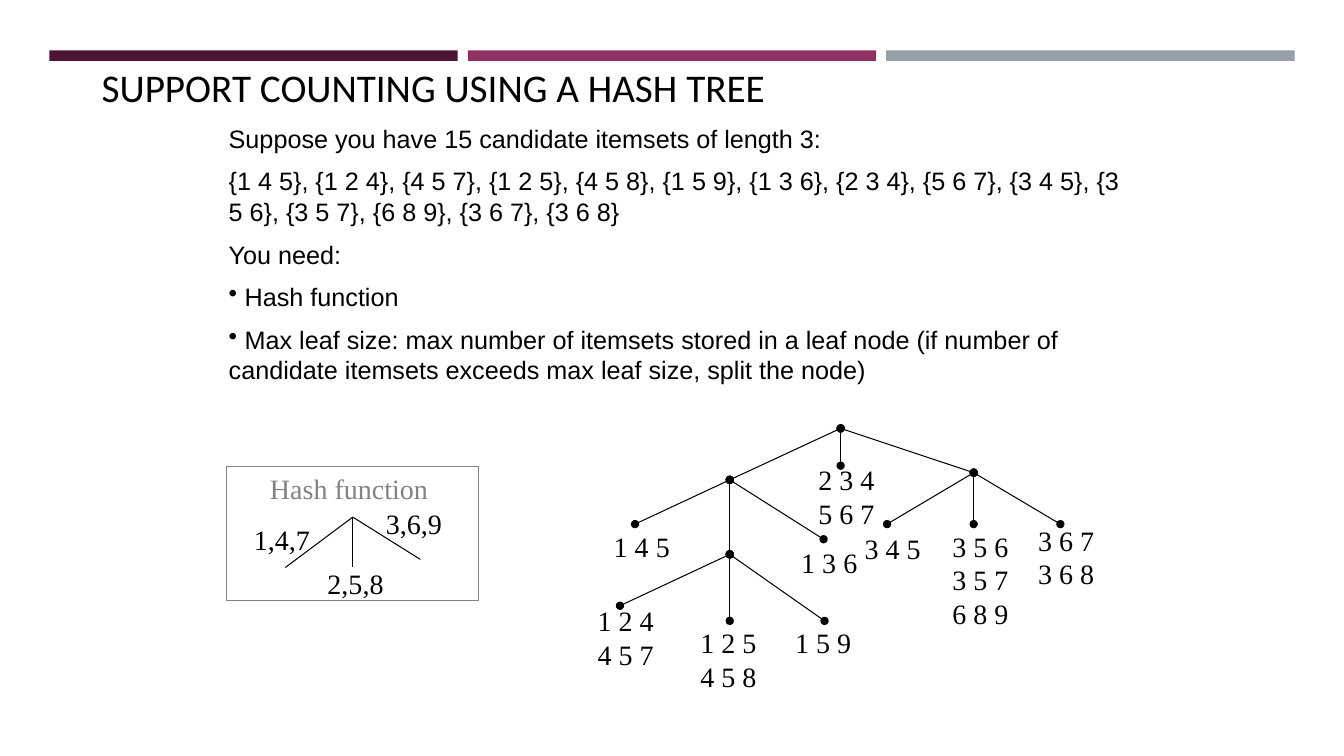
"""Slide: support counting using a hash tree. Lengths are percent of the slide."""
from dataclasses import dataclass

import pptx
import pptx.dml.color
import pptx.enum.shapes
import pptx.enum.text
import pptx.oxml.ns
import pptx.util
from lxml import etree

COLOURS = {
    "plum": "4D1434",
    "berry": "903163",
    "slate": "969FA7",
    "black": "000000",
    "grey": "828282",
}
WIDTH, HEIGHT = pptx.util.Emu(12192000), pptx.util.Inches(7.5)
LABEL_WIDTH, FIRST_LINE, NEXT_LINE = 5.7, 5.73, 4.47
ITEM_FONT, ITEM_SIZE = "Times New Roman", 20


@dataclass
class Node:
    name: str
    x: float
    y: float
    parent: str = ""
    itemsets: tuple[str, ...] = ()
    label_x: float = 0
    label_y: float = 0


@dataclass
class Branch:
    x: float
    y: float
    items: str
    label_x: float
    label_y: float


TREE = [
    Node("root", 62.55, 56.67),
    Node("left", 54.3, 63.47, "root"),
    Node("right", 72.45, 62.53, "root"),
    Node("middle", 62.55, 61.6, "root", ("2 3 4", "5 6 7"), 60.15, 60.53),
    Node("left 1", 47.25, 69.33, "left", ("1 4 5",), 44.93, 69.33),
    Node("left 2", 54.3, 73.33, "left"),
    Node("left 3", 61.28, 71.33, "left", ("1 3 6",), 58.88, 71.47),
    Node("left 2.1", 46.13, 80.13, "left 2", ("1 2 4", "4 5 7"), 43.73, 79.2),
    Node("left 2.2", 54.3, 82.13, "left 2", ("1 2 5", "4 5 8"), 51.38, 82.13),
    Node("left 2.3", 61.35, 82.13, "left 2", ("1 5 9",), 58.43, 82.13),
    Node("right 1", 66, 69.33, "right", ("3 4 5",), 63.6, 69.6),
    Node("right 2", 72.45, 69.33, "right", ("3 5 6", "3 5 7", "6 8 9"), 70.13, 69.33),
    Node("right 3", 78.9, 69.33, "right", ("3 6 7", "3 6 8"), 76.5, 68.53),
]
HASH_APEX = (26.25, 68.4)
HASH_BRANCHES = [
    Branch(21.23, 75.07, "1,4,7", 18.15, 68.4),
    Branch(26.25, 75.07, "2,5,8", 23.63, 74.27),
    Branch(31.28, 74, "3,6,9", 27.98, 66.4),
]
STATEMENTS = [
    "Suppose you have 15 candidate itemsets of length 3:",
    "{1 4 5}, {1 2 4}, {4 5 7}, {1 2 5}, {4 5 8}, {1 5 9}, {1 3 6}, {2 3 4}, "
    "{5 6 7}, {3 4 5}, {3 5 6}, {3 5 7}, {6 8 9}, {3 6 7}, {3 6 8}",
    "You need:",
]
NEEDS = [
    " Hash function",
    " Max leaf size: max number of itemsets stored in a leaf node (if number of "
    "candidate itemsets exceeds max leaf size, split the node)",
]


def across(percent: float) -> int:
    return round(WIDTH * percent / 100)


def down(percent: float) -> int:
    return round(HEIGHT * percent / 100)


def frame(left: float, top: float, width: float, height: float) -> tuple[int, ...]:
    return across(left), down(top), across(width), down(height)


def colour(name: str):
    return pptx.dml.color.RGBColor.from_string(COLOURS[name])


def add_text(slide, box: tuple[int, ...], lines, font: str, size: float,
             ink: str = "black", wrap: bool = False, bullets=(), space: float = 0):
    """Add a text box of plain lines followed by bulleted ones."""
    text_frame = slide.shapes.add_textbox(*box).text_frame
    text_frame.word_wrap = wrap
    text_frame.auto_size = pptx.enum.text.MSO_AUTO_SIZE.SHAPE_TO_FIT_TEXT
    for index, line in enumerate([*lines, *bullets]):
        paragraph = text_frame.add_paragraph() if index else text_frame.paragraphs[0]
        paragraph.text = line
        if index >= len(lines):
            properties = paragraph._p.get_or_add_pPr()
            properties.set("marL", "0")
            properties.set("indent", "0")
            etree.SubElement(properties, pptx.oxml.ns.qn("a:buChar"), char="•")
        if index and space:
            paragraph.space_before = pptx.util.Pt(space)
        paragraph.font.name = font
        paragraph.font.size = pptx.util.Pt(size)
        paragraph.font.color.rgb = colour(ink)
    return text_frame


def add_items(slide, left: float, top: float, lines: tuple[str, ...]) -> None:
    height = FIRST_LINE + NEXT_LINE * (len(lines) - 1)
    add_text(slide, frame(left, top, LABEL_WIDTH, height), lines, ITEM_FONT, ITEM_SIZE)


def add_edge(slide, start: tuple[float, float], end: tuple[float, float],
             dots: bool = False) -> None:
    connector = slide.shapes.add_connector(
        pptx.enum.shapes.MSO_CONNECTOR.STRAIGHT,
        across(start[0]), down(start[1]), across(end[0]), down(end[1]))
    connector.line.color.rgb = colour("black")
    connector.line.width = pptx.util.Pt(0.75)
    if dots:
        for tag in ("a:headEnd", "a:tailEnd"):
            etree.SubElement(connector.line._get_or_add_ln(),
                             pptx.oxml.ns.qn(tag), type="oval")
    etree.SubElement(connector._element.spPr, pptx.oxml.ns.qn("a:effectLst"))


def add_rectangle(slide, box: tuple[int, ...], fill: str = "", outline: str = "") -> None:
    shape = slide.shapes.add_shape(pptx.enum.shapes.MSO_SHAPE.RECTANGLE, *box)
    shape.shadow.inherit = False
    if fill:
        shape.fill.solid()
        shape.fill.fore_color.rgb = colour(fill)
    else:
        shape.fill.background()
    if outline:
        shape.line.color.rgb = colour(outline)
        shape.line.width = pptx.util.Pt(0.75)
    else:
        shape.line.fill.background()


def add_heading(slide) -> None:
    for index, fill in enumerate(("plum", "berry", "slate")):
        add_rectangle(slide, frame(3.68 + 31.13 * index, 6.67, 30.38, 1.4), fill)
    title = add_text(slide, frame(6.83, 7.47, 67.95, 7.73),
                     ["SUPPORT COUNTING USING A HASH TREE"], "Calibri", 28, wrap=True)
    title.auto_size = pptx.enum.text.MSO_AUTO_SIZE.NONE
    title.vertical_anchor = pptx.enum.text.MSO_ANCHOR.BOTTOM


def add_tree(slide) -> None:
    places = {node.name: (node.x, node.y) for node in TREE}
    for node in TREE:
        if node.parent:
            add_edge(slide, places[node.parent], places[node.name], dots=True)
        if node.itemsets:
            add_items(slide, node.label_x, node.label_y, node.itemsets)


def add_hash_function(slide) -> None:
    for branch in HASH_BRANCHES:
        add_edge(slide, HASH_APEX, (branch.x, branch.y))
        add_items(slide, branch.label_x, branch.label_y, (branch.items,))
    add_text(slide, frame(19.35, 61.73, 13.28, FIRST_LINE), ["Hash function"],
             ITEM_FONT, ITEM_SIZE, "grey")
    add_rectangle(slide, frame(16.88, 61.73, 18.75, 17.73), outline="grey")


def main() -> None:
    presentation = pptx.Presentation()
    presentation.slide_width, presentation.slide_height = WIDTH, HEIGHT
    slide = presentation.slides.add_slide(presentation.slide_layouts[6])
    add_heading(slide)
    add_tree(slide)
    add_hash_function(slide)
    add_text(slide, frame(16.28, 15.6, 68.1, 37.47), STATEMENTS, "Arial", 18,
             wrap=True, bullets=NEEDS, space=9)
    presentation.save("out.pptx")


if __name__ == "__main__":
    main()
